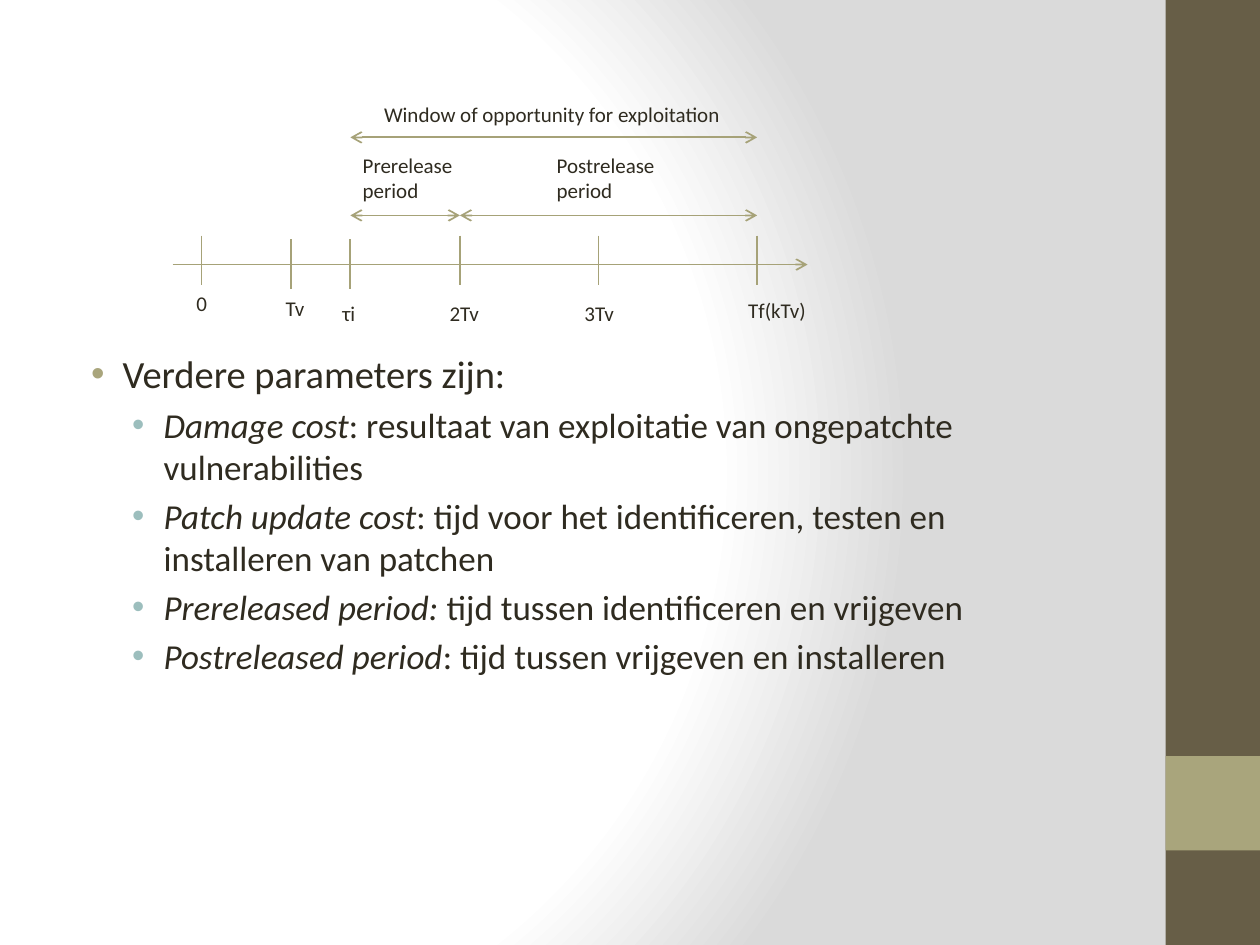
from pptx import Presentation
from pptx.dml.color import RGBColor
from pptx.enum.shapes import MSO_CONNECTOR, MSO_SHAPE
from pptx.enum.text import MSO_AUTO_SIZE
from pptx.oxml import parse_xml
from pptx.oxml.ns import nsdecls, qn
from pptx.util import Pt
from lxml.etree import SubElement

COLORS = {"text": "2F2B20", "brown": "675E47", "olive": "A9A57C",
          "teal": "9CBEBD", "line": "A6A278", "white": "FFFFFF", "grey": "DADADA"}
FONT = "Calibri"

# Timeline marks: name, x, tick top, label left, label top, label width
TICKS = [("0", 115.2, 134.6, 105.1, 162.7, 21),
         ("Tv", 166.3, 136.8, 156.2, 165.6, 25),
         ("τi", 200.2, 136.8, 188.6, 168.5, 22),
         ("2Tv", 262.8, 134.6, 249.8, 168.5, 32),
         ("3Tv", 342, 134.6, 326.9, 168.5, 32),
         ("Tf(kTv)", 432.7, 134.6, 420.5, 166.3, 47.5)]
TICK_HEIGHT = 28.1

PARAMETERS = [("Damage cost", ": resultaat van exploitatie van ongepatchte vulnerabilities"),
              ("Patch update cost", ": tijd voor het identificeren, testen en installeren van patchen"),
              ("Prereleased period: ", "tijd tussen identificeren en vrijgeven"),
              ("Postreleased period", ": tijd tussen vrijgeven en installeren")]


def rgb(name):
    return RGBColor.from_string(COLORS[name])


def set_background(s):
    fill = s.background.fill
    fill.gradient()
    stops = "".join(f'<a:gs pos="{pos}"><a:srgbClr val="{COLORS[name]}"/></a:gs>'
                    for pos, name in ((0, "white"), (75000, "white"), (100000, "grey")))
    grad = parse_xml(
        f'<a:gradFill {nsdecls("a")} rotWithShape="1"><a:gsLst>{stops}</a:gsLst>'
        '<a:path path="circle"><a:fillToRect l="20000" t="50000" r="100000" b="50000"/>'
        '</a:path></a:gradFill>')
    old = s.background._cSld.find(".//" + qn("a:gradFill"))
    old.getparent().replace(old, grad)


def add_bar(s, top, height, color):
    sp = s.shapes.add_shape(MSO_SHAPE.RECTANGLE, Pt(666), Pt(top), Pt(54), Pt(height))
    sp.shadow.inherit = False
    sp.fill.solid()
    sp.fill.fore_color.rgb = rgb(color)
    sp.line.fill.background()


def add_line(group, x1, y1, x2, y2, arrows=()):
    ln = group.shapes.add_connector(MSO_CONNECTOR.STRAIGHT, Pt(x1), Pt(y1), Pt(x2), Pt(y2))
    ln.line.width = Pt(1)
    ln.line.color.rgb = rgb("line")
    for end in arrows:
        SubElement(ln.line._get_or_add_ln(), qn(f"a:{end}"), type="arrow")
    SubElement(ln._element.spPr, qn("a:effectLst"))


def style(p, size):
    p.font.size = Pt(size)
    p.font.name = FONT
    p.font.color.rgb = rgb("text")


def add_label(group, lines, left, top, width):
    height = 7.2 + 14.4 * len(lines)
    tf = group.shapes.add_textbox(Pt(left), Pt(top), Pt(width), Pt(height)).text_frame
    tf.word_wrap = False
    tf.auto_size = MSO_AUTO_SIZE.SHAPE_TO_FIT_TEXT
    for i, line in enumerate(lines):
        p = tf.add_paragraph() if i else tf.paragraphs[0]
        p.text = line
        style(p, 12)


def format_bullet(p, size, indent, color):
    style(p, size)
    p.space_before = Pt(size * 0.2)
    pPr = p._p.get_or_add_pPr()
    pPr.set("marL", str(Pt(indent)))
    pPr.set("indent", str(Pt(-18)))
    extras = (f'<a:buClr {nsdecls("a")}><a:srgbClr val="{COLORS[color]}"/></a:buClr>',
              f'<a:buFont {nsdecls("a")} typeface="Arial"/>',
              f'<a:buChar {nsdecls("a")} char="•"/>')
    at = list(pPr).index(pPr.find(qn("a:defRPr")))
    for i, xml in enumerate(extras):
        pPr.insert(at + i, parse_xml(xml))


def add_timeline(s):
    group = s.shapes.add_group_shape()
    both = ("headEnd", "tailEnd")
    # Axis and ticks
    add_line(group, 98.6, 151.2, 461.5, 151.2, ("tailEnd",))
    for name, x, top, left, label_top, width in TICKS:
        add_line(group, x, top, x, top + TICK_HEIGHT)
        add_label(group, [name], left, label_top, width)
    # Periods
    start, release, end = TICKS[2][1], TICKS[3][1], TICKS[5][1]
    for x1, x2, y in ((start, release, 123.1), (release, end, 123.1), (start, end, 78.5)):
        add_line(group, x1, y, x2, y, both)
    add_label(group, ["Prerelease", "period"], 200.2, 83.5, 66)
    add_label(group, ["Postrelease", "period"], 311, 83.5, 74)
    add_label(group, ["Window of opportunity for exploitation"], 212.4, 54.7, 208)


def add_body(s):
    tf = s.shapes.add_textbox(Pt(36), Pt(196.6), Pt(600), Pt(307.4)).text_frame
    tf.word_wrap = True
    p = tf.paragraphs[0]
    p.text = "Verdere parameters zijn:"
    format_bullet(p, 22, 27, "olive")
    for term, meaning in PARAMETERS:
        p = tf.add_paragraph()
        p.level = 1
        r = p.add_run()
        r.text = term
        r.font.italic = True
        p.add_run().text = meaning
        format_bullet(p, 20, 50.4, "teal")


def main():
    prs = Presentation()
    prs.slide_width, prs.slide_height = Pt(720), Pt(540)
    s = prs.slides.add_slide(prs.slide_layouts[6])
    set_background(s)
    # Side bars
    add_bar(s, 0, 540, "brown")
    add_bar(s, 432, 54, "olive")
    # Content
    add_body(s)
    add_timeline(s)
    prs.save("out.pptx")


main()
